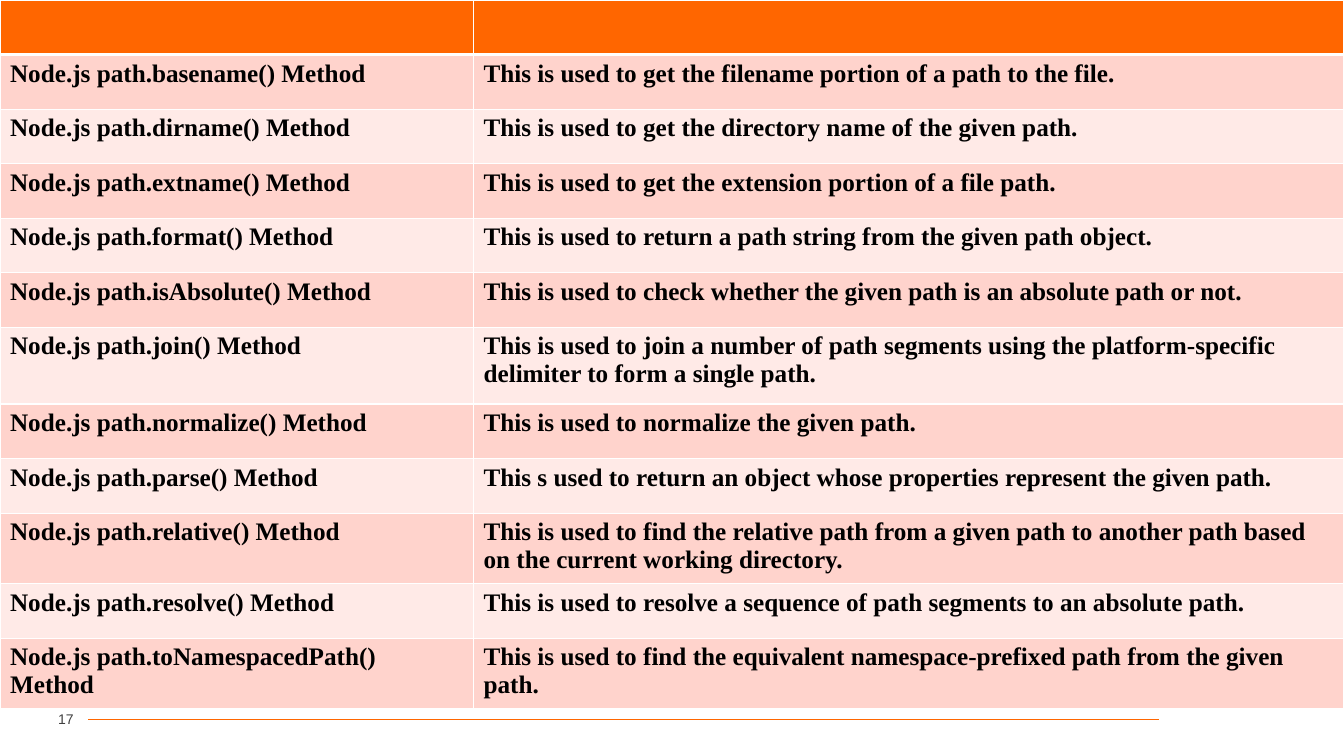
from lxml.etree import SubElement
from pptx import Presentation
from pptx.dml.color import RGBColor
from pptx.enum.shapes import MSO_CONNECTOR
from pptx.enum.text import MSO_ANCHOR, PP_ALIGN
from pptx.oxml import parse_xml
from pptx.oxml.ns import nsdecls, qn
from pptx.util import Pt

PX = 9525
COLORS = {
    "accent": "FF6600",
    "band_dark": "FFD3CC",
    "band_light": "FFEAE7",
    "border": "FFFFFF",
    "text": "000000",
    "number": "404040",
}
ROW_HEIGHT = 52
TALL_ROW_HEIGHT = 73
TALL_METHOD = "join"
NAME_WIDTH = 451
METHODS = [
    ("basename", "This is used to get the filename portion of a path to the file."),
    ("dirname", "This is used to get the directory name of the given path."),
    ("extname", "This is used to get the extension portion of a file path."),
    ("format", "This is used to return a path string from the given path object."),
    ("isAbsolute", "This is used to check whether the given path is an absolute path or not."),
    ("join", "This is used to join a number of path segments using the "
             "platform-specific delimiter to form a single path."),
    ("normalize", "This is used to normalize the given path."),
    ("parse", "This s used to return an object whose properties represent the given path."),
    ("relative", "This is used to find the relative path from a given path to "
                 "another path based on the current working directory."),
    ("resolve", "This is used to resolve a sequence of path segments to an absolute path."),
    ("toNamespacedPath", "This is used to find the equivalent namespace-prefixed "
                         "path from the given path."),
]


def color(name):
    return RGBColor.from_string(COLORS[name])


def add_span(para, text, font, size, color_name, bold=False):
    span = para.add_run()
    span.text = text
    span.font.name = font
    span.font.size = Pt(size)
    span.font.bold = bold
    span.font.color.rgb = color(color_name)


def set_borders(cell, top, bottom):
    properties = cell._tc.get_or_add_tcPr()
    widths = {"lnL": 1, "lnR": 1, "lnT": top, "lnB": bottom}
    for index, (side, width) in enumerate(widths.items()):
        line = parse_xml(
            f'<a:{side} {nsdecls("a")} w="{Pt(width)}"><a:solidFill>'
            f'<a:srgbClr val="{COLORS["border"]}"/></a:solidFill></a:{side}>'
        )
        properties.insert(index, line)


def style_cell(cell, fill_name, top=1, bottom=1):
    cell.fill.solid()
    cell.fill.fore_color.rgb = color(fill_name)
    set_borders(cell, top, bottom)


def add_method_table(page, left, top, width):
    heights = [ROW_HEIGHT] + [
        TALL_ROW_HEIGHT if name == TALL_METHOD else ROW_HEIGHT for name, _ in METHODS
    ]
    frame = page.shapes.add_table(
        len(heights), 2, left * PX, top * PX, width * PX, sum(heights) * PX
    )
    table = frame.table
    table.horz_banding = False
    for column, column_width in zip(table.columns, (NAME_WIDTH, width - NAME_WIDTH)):
        column.width = column_width * PX
    for row, height in zip(table.rows, heights):
        row.height = height * PX
    for cell in table.rows[0].cells:
        style_cell(cell, "accent", bottom=3)
    for index, (name, description) in enumerate(METHODS):
        texts = (f"Node.js path.{name}() Method", description)
        fill_name = "band_light" if index % 2 else "band_dark"
        for cell, text in zip(table.rows[index + 1].cells, texts):
            style_cell(cell, fill_name, top=1 if index else 3)
            add_span(cell.text_frame.paragraphs[0], text, "Times New Roman", 18, "text", True)


def add_footer(page, left, top, height, number):
    number_width = 38
    line_left = left + number_width + 14
    line_y = (top + height // 2) * PX
    rule = page.shapes.add_connector(
        MSO_CONNECTOR.STRAIGHT, line_left * PX, line_y, (line_left + 1020) * PX, line_y
    )
    rule.line.color.rgb = color("accent")
    rule.line.width = Pt(0.5)
    SubElement(rule._element.spPr, qn("a:effectLst"))

    box = page.shapes.add_textbox(left * PX, top * PX, number_width * PX, height * PX)
    frame = box.text_frame
    frame.word_wrap = True
    frame.vertical_anchor = MSO_ANCHOR.MIDDLE
    frame.margin_left = frame.margin_right = 0
    para = frame.paragraphs[0]
    para.alignment = PP_ALIGN.RIGHT
    add_span(para, number, "Arial", 10, "number")


def main():
    deck = Presentation()
    deck.slide_width = 1280 * PX
    deck.slide_height = 720 * PX
    page = deck.slides.add_slide(deck.slide_layouts[6])
    add_footer(page, 32, 671, 28, "17")
    add_method_table(page, 0, 0, 1280)
    deck.save("out.pptx")


if __name__ == "__main__":
    main()
